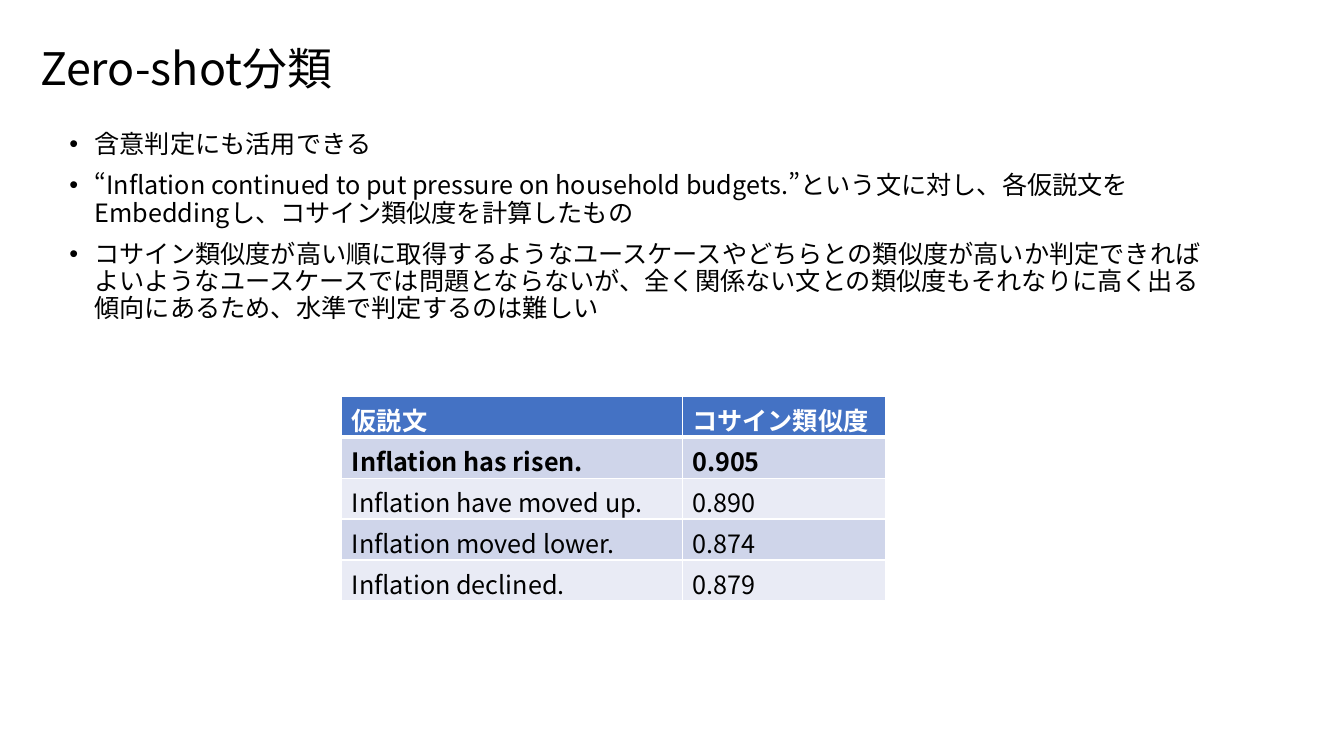
from dataclasses import dataclass

from lxml.etree import SubElement
from pptx import Presentation
from pptx.dml.color import RGBColor
from pptx.enum.lang import MSO_LANGUAGE_ID as Lang
from pptx.enum.text import MSO_ANCHOR as Anchor, MSO_AUTO_SIZE as AutoSize, PP_ALIGN as Align
from pptx.oxml import parse_xml
from pptx.oxml.ns import nsdecls, qn
from pptx.util import Cm, Pt


@dataclass(frozen=True)
class Theme:
    font: str = "Noto Sans CJK JP"
    ink: str = "000000"
    paper: str = "FFFFFF"
    header: str = "4472C4"
    bands: tuple[str, str] = ("CFD5EA", "E9EBF5")
    title_size: int = 32
    text_size: int = 18
    rule: int = 1
    header_rule: int = 3


@dataclass(frozen=True)
class Hypothesis:
    sentence: str
    similarity: str
    best: bool = False


THEME = Theme()
POINTS = (
    "含意判定にも活用できる",
    "“Inflation continued to put pressure on household budgets.”という文に対し、"
    "各仮説文をEmbeddingし、コサイン類似度を計算したもの",
    "コサイン類似度が高い順に取得するようなユースケースやどちらとの類似度が高いか判定できれば"
    "よいようなユースケースでは問題とならないが、全く関係ない文との類似度もそれなりに高く出る"
    "傾向にあるため、水準で判定するのは難しい",
)
HEADINGS = Hypothesis("仮説文", "コサイン類似度", best=True)
HYPOTHESES = (
    Hypothesis("Inflation has risen.", "0.905", best=True),
    Hypothesis("Inflation have moved up.", "0.890"),
    Hypothesis("Inflation moved lower.", "0.874"),
    Hypothesis("Inflation declined.", "0.879"),
)


def apply(target, values: dict) -> None:
    for attribute, value in values.items():
        setattr(target, attribute, value)


def write(paragraph, text: str, size: int, color: str, bold: bool = False) -> None:
    run = paragraph.add_run()
    run.text = text
    apply(run.font, {"name": THEME.font, "size": Pt(size), "bold": bold,
                     "language_id": Lang.JAPANESE})
    run.font.color.rgb = RGBColor.from_string(color)
    SubElement(run.font._element, qn("a:ea"), typeface=THEME.font)


def add_bullet(paragraph) -> None:
    properties = paragraph._p.get_or_add_pPr()
    properties.set("marL", str(Cm(0.635)))
    properties.set("indent", str(-Cm(0.635)))
    SubElement(properties, qn("a:buFont"), typeface="Arial")
    SubElement(properties, qn("a:buChar"), char="•")


def set_borders(cell, top: int, bottom: int) -> None:
    widths = {"lnL": THEME.rule, "lnR": THEME.rule, "lnT": top, "lnB": bottom}
    properties = cell._tc.get_or_add_tcPr()
    for position, (side, width) in enumerate(widths.items()):
        properties.insert(position, parse_xml(
            f'<a:{side} {nsdecls("a")} w="{Pt(width)}"><a:solidFill>'
            f'<a:srgbClr val="{THEME.paper}"/></a:solidFill></a:{side}>'))


def fill_row(cells, hypothesis: Hypothesis, index: int) -> None:
    is_header = index == 0
    fill = THEME.header if is_header else THEME.bands[(index - 1) % 2]
    color = THEME.paper if is_header else THEME.ink
    top = THEME.header_rule if index == 1 else THEME.rule
    bottom = THEME.header_rule if is_header else THEME.rule
    for cell, text in zip(cells, (hypothesis.sentence, hypothesis.similarity)):
        cell.fill.solid()
        cell.fill.fore_color.rgb = RGBColor.from_string(fill)
        set_borders(cell, top, bottom)
        write(cell.text_frame.paragraphs[0], text, THEME.text_size, color, hypothesis.best)


def add_title(slide) -> None:
    title = slide.shapes.title
    apply(title, {"left": Cm(0.76), "top": Cm(0.51), "width": Cm(29.21), "height": Cm(2.57)})
    apply(title.text_frame, {"word_wrap": True, "auto_size": AutoSize.NONE,
                             "vertical_anchor": Anchor.MIDDLE})
    heading = title.text_frame.paragraphs[0]
    apply(heading, {"alignment": Align.LEFT, "line_spacing": 0.9})
    write(heading, "Zero-shot分類", THEME.title_size, THEME.ink)


def add_points(slide) -> None:
    body = slide.shapes.add_textbox(Cm(1.5), Cm(3.2), Cm(29.21), Cm(5.41)).text_frame
    body.word_wrap = True
    for index, text in enumerate(POINTS):
        point = body.add_paragraph() if index else body.paragraphs[0]
        apply(point, {"line_spacing": 0.9, "space_before": Pt(10)})
        add_bullet(point)
        write(point, text, THEME.text_size, THEME.ink)


def add_similarities(slide) -> None:
    rows = (HEADINGS, *HYPOTHESES)
    widths = (Cm(8.58), Cm(5.14))
    row_height = Cm(1.03)
    table = slide.shapes.add_table(len(rows), len(widths), Cm(8.61), Cm(9.99),
                                   sum(widths), row_height * len(rows)).table
    for column, width in zip(table.columns, widths):
        column.width = width
    for index, hypothesis in enumerate(rows):
        fill_row(table.rows[index].cells, hypothesis, index)


def main() -> None:
    deck = Presentation()
    apply(deck, {"slide_width": Cm(33.87), "slide_height": Cm(19.05)})
    slide = deck.slides.add_slide(deck.slide_layouts.get_by_name("Title Only"))
    add_title(slide)
    add_points(slide)
    add_similarities(slide)
    deck.save("out.pptx")


if __name__ == "__main__":
    main()
